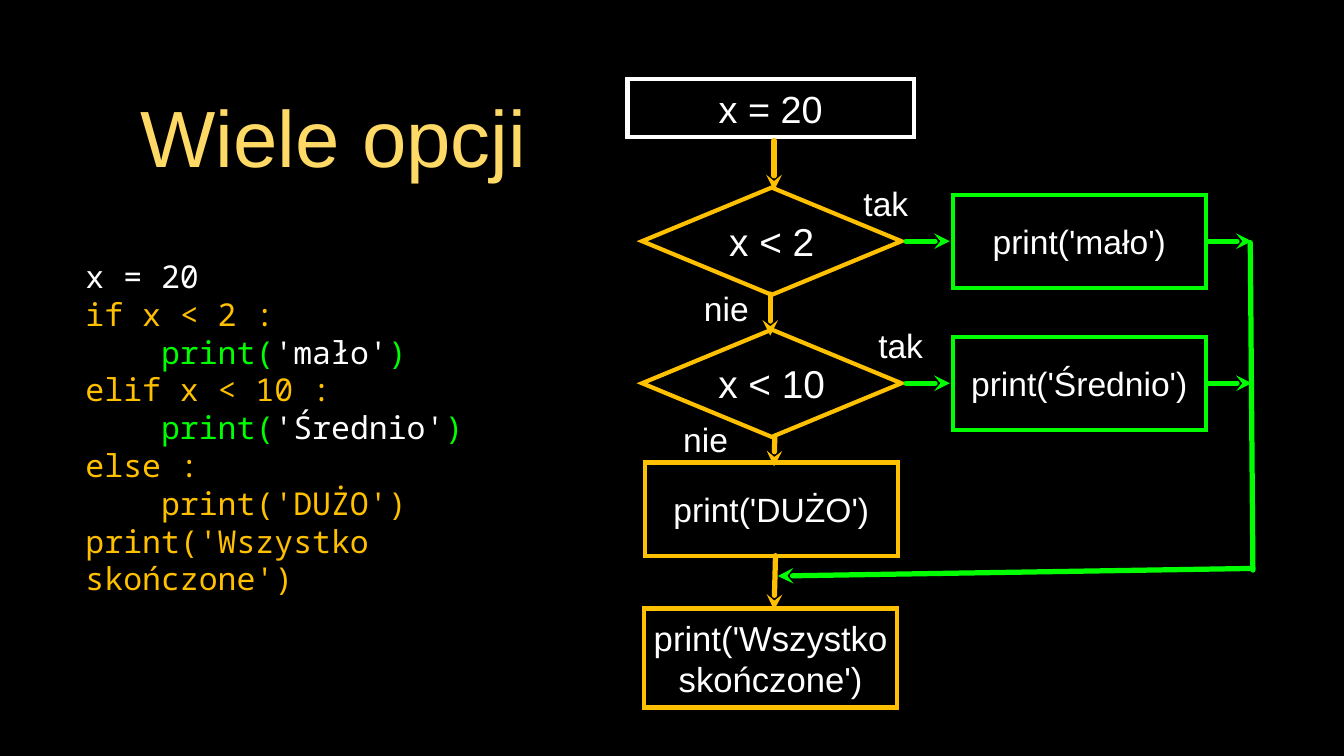
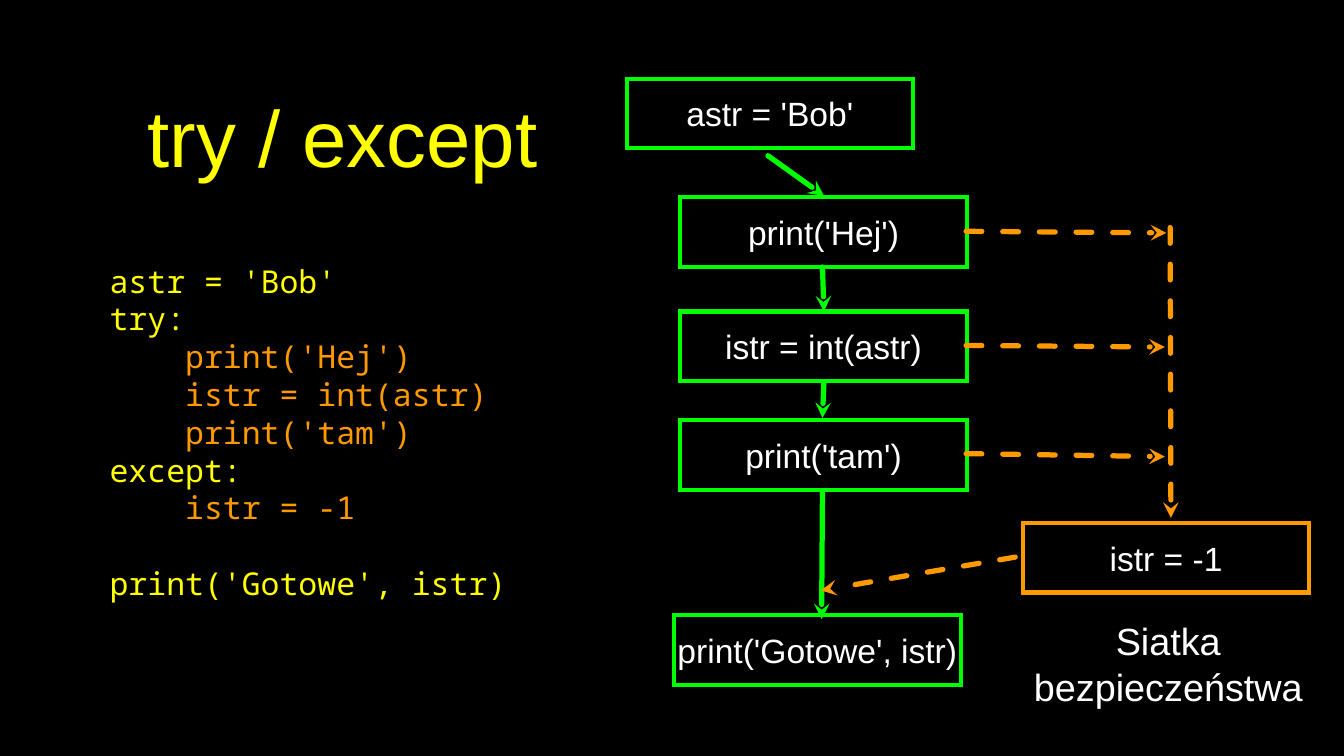
from lxml import etree
from pptx import Presentation
from pptx.dml.color import RGBColor
from pptx.enum import dml, shapes, text
from pptx.oxml.ns import qn
from pptx.util import Pt

WHITE, GOLD, GREEN = "FFFFFF", "FFC000", "00FF00"
YELLOW, ORANGE, BLACK = "FFFF00", "FF9900", "000000"
SANS, MONO = "Arial", "Noto Sans Mono"
INDENT = 72
LEADING = 1.2
RECT, DIAMOND = shapes.MSO_SHAPE.RECTANGLE, shapes.MSO_SHAPE.DIAMOND

# A code line is (indent level, [(text, colour), ...]).
CODE_OPTIONS = [
    (0, [("x = 20", WHITE)]),
    (0, [("if x < 2 :", GOLD)]),
    (1, [("print(", GREEN), ("'mało'", WHITE), (")", GREEN)]),
    (0, [("elif x < 10 :", GOLD)]),
    (1, [("print(", GREEN), ("'Średnio'", WHITE), (")", GREEN)]),
    (0, [("else :", GOLD)]),
    (1, [("print('DUŻO')", GOLD)]),
    (0, [("print('Wszystko skończone')", GOLD)]),
]
CODE_TRY = [
    (0, [("astr = 'Bob'", YELLOW)]),
    (0, [("try:", YELLOW)]),
    (1, [("print('Hej')", ORANGE)]),
    (1, [("istr = int(astr)", ORANGE)]),
    (1, [("print('tam')", ORANGE)]),
    (0, [("except:", YELLOW)]),
    (1, [("istr = -1", ORANGE)]),
    (0, [("print('Gotowe', istr)", YELLOW)]),
]

# Tests: (top, question, answer, left and width of "tak", left and width of "nie")
TESTS = [
    (178.6, "x < 2", "print('mało')", (816.5, 54.7), (666, 51.8)),
    (313.9, "x < 10", "print('Średnio')", (827.3, 61.2), (640, 64.1)),
]
# Steps: (text, left, top, width, height, colour, size)
STEPS = [
    ("x = 20", 597.6, 75.6, 273, 54.7, WHITE, 36),
    ("print('DUŻO')", 614.2, 440.6, 241.2, 88.6, GOLD, 32),
    ("print('Wszystko skończone')", 613.4, 579.6, 241.2, 94.3, GOLD, 33),
]
# Arrows run from (x, y) to the tip (x, y)
DOWN = [
    (737.3, 133.9, 737.3, 181.4),
    (733.7, 280.1, 733.7, 319.7),
    (738, 415.4, 737.3, 444.2),
    (738.7, 529.2, 737.3, 581),
]
RAIL = (1190.9, 231.1, 1193.4, 542.9)
BACK = (1191.6, 541.4, 740.9, 548.6)

# Try steps: (text, left, top, colour)
TRY_SIZE = (273, 66.2)
TRY_STEPS = [
    ("astr = 'Bob'", 596.9, 74.9, GREEN),
    ("print('Hej')", 648, 187.9, GREEN),
    ("istr = int(astr)", 648, 296.6, GREEN),
    ("print('tam')", 648, 400.3, GREEN),
    ("print('Gotowe', istr)", 642.2, 586.1, GREEN),
    ("istr = -1", 974.2, 498.2, ORANGE),
]
TRY_DOWN = [
    (731.5, 148.3, 784.8, 186.5),
    (783.4, 254.2, 784.8, 296.6),
    (784.8, 363.6, 783.4, 398.2),
    (783.4, 468, 782.6, 589.7),
]
ESCAPES = [
    (920.2, 220.3, 1111, 221.8),
    (920.2, 329, 1109.5, 330.5),
    (920.2, 432, 1109.5, 434.9),
    (1114.6, 216.7, 1115.3, 493.2),
    (967, 530.6, 781.9, 562.3),
]


def rgb(code):
    return RGBColor.from_string(code)


def write(shape, content, size=32, font=SANS, color=WHITE,
          align=text.PP_ALIGN.CENTER, inset=0, gap=0):
    """Fill a shape with a string or code lines; gap precedes the last line."""
    lines = [(0, [(content, color)])] if isinstance(content, str) else content
    frame = shape.text_frame
    frame.word_wrap = True
    frame.auto_size = text.MSO_AUTO_SIZE.NONE
    frame.vertical_anchor = text.MSO_ANCHOR.MIDDLE
    frame.margin_left = frame.margin_right = Pt(inset)
    frame.margin_top = frame.margin_bottom = Pt(inset)
    for i, (level, runs) in enumerate(lines):
        para = frame.add_paragraph() if i else frame.paragraphs[0]
        para.alignment = align
        para.line_spacing = Pt(size * LEADING)
        if level:
            para._p.get_or_add_pPr().set("marL", str(Pt(level * INDENT)))
        for words, tint in runs:
            run = para.add_run()
            run.text = words
            run.font.size, run.font.name = Pt(size), font
            run.font.color.rgb = rgb(tint)
    if gap:
        para.space_before = Pt(gap)


def label(slide, content, *box, **style):
    write(slide.shapes.add_textbox(*map(Pt, box)), content, **style)


def node(slide, content, *box, kind=RECT, line=GREEN, size=32):
    """Outlined flowchart shape with centred text."""
    shape = slide.shapes.add_shape(kind, *map(Pt, box))
    shape.shadow.inherit = False
    shape.fill.background()
    shape.line.color.rgb = rgb(line)
    shape.line.width = Pt(4)
    etree.SubElement(shape.line._ln, qn("a:miter")).set("lim", "800000")
    write(shape, content, size=size)


def arrow(slide, ends, color=GREEN, dash=False, tip=True):
    link = slide.shapes.add_connector(
        shapes.MSO_CONNECTOR.STRAIGHT, *map(Pt, ends))
    link.line.color.rgb = rgb(color)
    link.line.width = Pt(5)
    if dash:
        link.line.dash_style = dml.MSO_LINE.DASH
    edge = link.line._ln
    edge.set("cap", "rnd")
    if tip:
        etree.SubElement(edge, qn("a:tailEnd")).set("type", "stealth")
    etree.SubElement(link._element.spPr, qn("a:effectLst"))


def start(deck, title, width, color):
    """Add a black slide with its title."""
    slide = deck.slides.add_slide(deck.slide_layouts[6])
    fill = slide.background.fill
    fill.solid()
    fill.fore_color.rgb = rgb(BLACK)
    label(slide, title, 90.7, 59, width, 141, size=76, color=color, inset=3)
    return slide


def code(slide, lines, *box, gap=0):
    label(slide, lines, *box, size=30, font=MONO,
          align=text.PP_ALIGN.LEFT, gap=gap)


def options(deck):
    slide = start(deck, "Wiele opcji", 453.6, "FFD966")
    code(slide, CODE_OPTIONS, 81.4, 231.1, 401.8, 351.4)
    for words, x, y, w, h, color, size in STEPS:
        node(slide, words, x, y, w, h, line=color, size=size)
    for top, ask, answer, yes, no in TESTS:
        mid = top + 51.1
        node(slide, ask, 611.6, top, 247, 102.2,
             kind=DIAMOND, line=GOLD, size=37)
        node(slide, answer, 907.5, mid - 44.3, 241.2, 88.6)
        label(slide, "tak", yes[0], top - 4.5, yes[1], 38.9)
        label(slide, "nie", no[0], top + 95 - 10 * (ask == "x < 10"),
              no[1], 38.9)
        arrow(slide, (863, mid, 904.7, mid))
        arrow(slide, (1151, mid, 1192.3, mid))
    for ends in DOWN:
        arrow(slide, ends, GOLD)
    arrow(slide, RAIL, tip=False)
    arrow(slide, BACK)


def rescue(deck):
    slide = start(deck, "try / except", 470.9, YELLOW)
    code(slide, CODE_TRY, 104.4, 223.9, 407.5, 374.4, gap=30 * LEADING)
    for words, x, y, color in TRY_STEPS:
        node(slide, words, x, y, *TRY_SIZE, line=color)
    for ends in TRY_DOWN:
        arrow(slide, ends)
    for ends in ESCAPES:
        arrow(slide, ends, ORANGE, dash=True)
    label(slide, "Siatka bezpieczeństwa", 981.4, 578.2, 262.8, 107.3, size=36)


def main():
    deck = Presentation()
    deck.slide_width, deck.slide_height = Pt(1280.16), Pt(720)
    options(deck)
    rescue(deck)
    deck.save("out.pptx")


if __name__ == "__main__":
    main()
